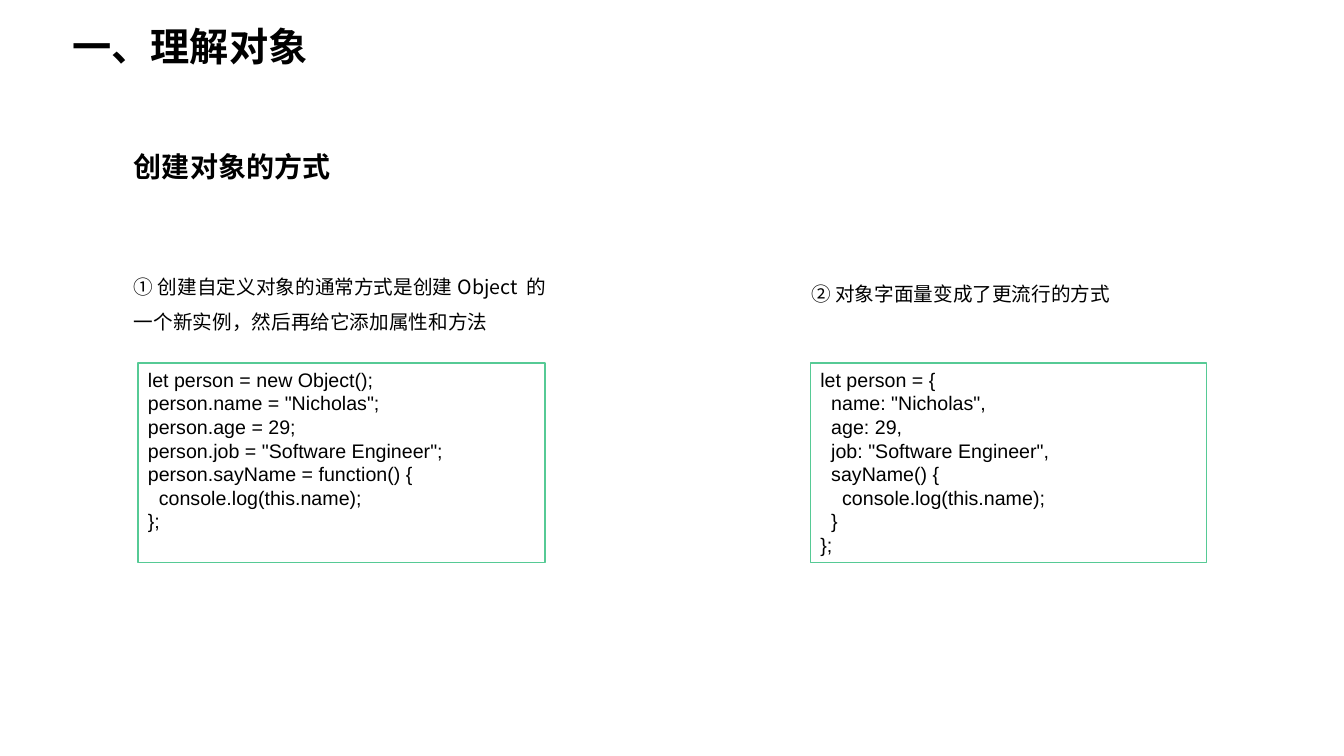
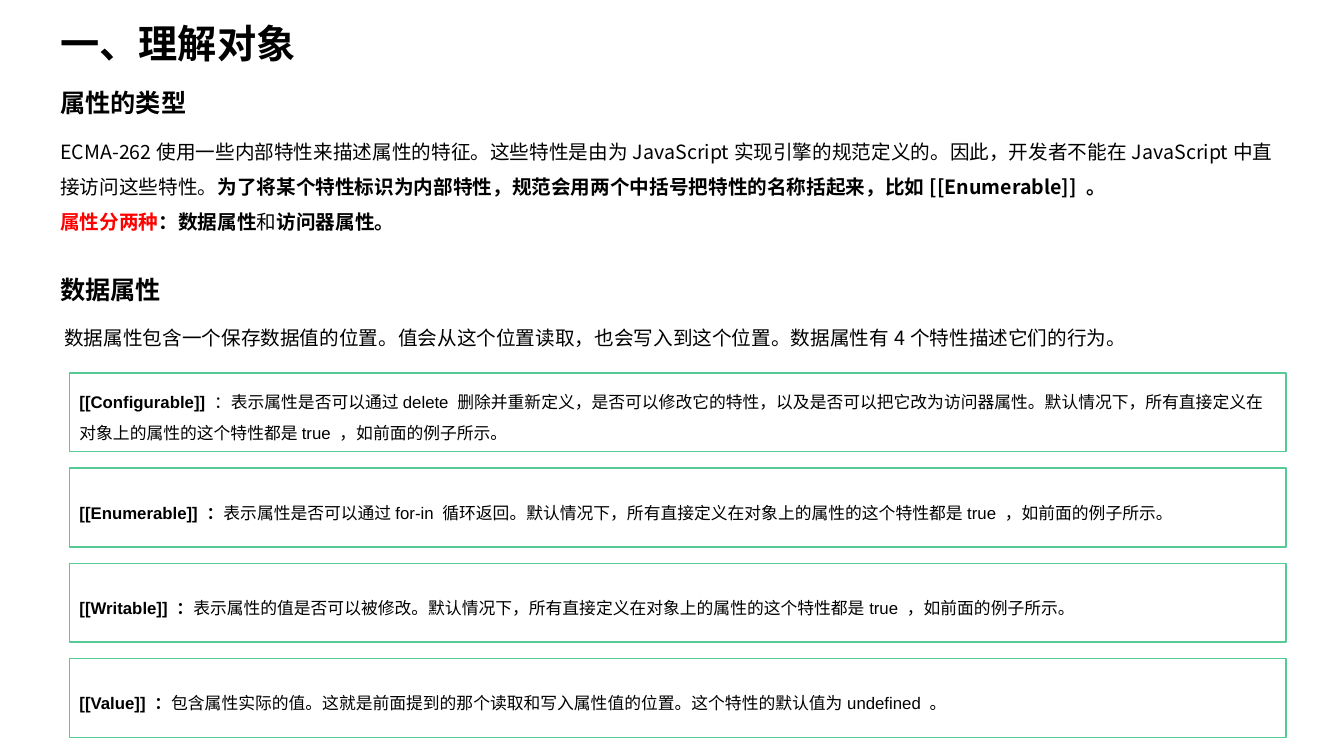
from lxml import etree
from pptx import Presentation
from pptx.dml.color import RGBColor
from pptx.enum.shapes import MSO_SHAPE
from pptx.enum.text import MSO_ANCHOR, MSO_AUTO_SIZE, PP_ALIGN
from pptx.oxml.ns import qn
from pptx.util import Pt

RECT = MSO_SHAPE.RECTANGLE
TOP, MIDDLE = MSO_ANCHOR.TOP, MSO_ANCHOR.MIDDLE
GROW, FIXED = MSO_AUTO_SIZE.SHAPE_TO_FIT_TEXT, MSO_AUTO_SIZE.NONE
LEFT = PP_ALIGN.LEFT

COLORS = {"text": "000000", "accent": "FF0000", "fill": "FFFFFF", "line": "56CA95"}
LATIN, CJK = "Arial", "Noto Sans CJK SC"
CODE_INDENT = 7.8
TITLE = "一、理解对象"


class Deck:
    """Holds the presentation style and the current slide."""

    def __init__(self):
        self.prs = Presentation()
        self.prs.slide_width, self.prs.slide_height = Pt(960), Pt(540)

    def color(self, key):
        return RGBColor.from_string(COLORS[key])

    def place(self, sp, box):
        sp.left, sp.top, sp.width, sp.height = [Pt(v) for v in box]

    def frame(self, sp, anchor=TOP, size=GROW, wrap=True):
        tf = sp.text_frame
        tf.word_wrap, tf.auto_size, tf.vertical_anchor = wrap, size, anchor
        return tf

    def add_text(self, tf, paragraphs, size, font, spacing=1.0):
        for i, runs in enumerate(paragraphs):
            p = tf.paragraphs[0] if i == 0 else tf.add_paragraph()
            p.alignment, p.line_spacing = LEFT, spacing
            for text, bold, key in runs:
                r = p.add_run()
                r.text = text
                r.font.size, r.font.bold, r.font.name = Pt(size), bold, font
                r.font.color.rgb = self.color(key)
                etree.SubElement(r._r.get_or_add_rPr(), qn("a:ea"), typeface=CJK)

    def slide(self, title, left, top):
        self.s = self.prs.slides.add_slide(self.prs.slide_layouts[5])
        sp = self.s.shapes.title
        self.place(sp, (left, top, 486.7, 41))
        self.add_text(self.frame(sp), [[(title, True, "text")]], 28, LATIN)

    def textbox(self, box, paragraphs, size=14, spacing=1.5, wrap=True):
        sp = self.s.shapes.add_textbox(*[Pt(v) for v in box])
        self.add_text(self.frame(sp, wrap=wrap), paragraphs, size, CJK, spacing)

    def heading(self, box, text, size):
        self.textbox(box, [[(text, True, "text")]], size, 1.0, wrap=False)

    def body(self, box, text):
        self.textbox(box, [[(text, False, "text")]])

    def card(self, box):
        sp = self.s.shapes.add_shape(RECT, *[Pt(v) for v in box])
        sp.shadow.inherit = False
        sp.fill.solid()
        sp.fill.fore_color.rgb = self.color("fill")
        sp.line.color.rgb = self.color("line")
        sp.line.width = Pt(1)
        return sp

    def code(self, box, source):
        tf = self.frame(self.card(box), size=FIXED)
        lines = source.strip().splitlines()
        self.add_text(tf, [[(line.strip(), False, "text")] for line in lines], 14, LATIN)
        for p, line in zip(tf.paragraphs, lines):
            depth = (len(line) - len(line.lstrip())) // 2
            if depth:
                p._p.get_or_add_pPr().set("marL", str(Pt(depth * CODE_INDENT)))

    def trait(self, box, runs):
        tf = self.frame(self.card(box), MIDDLE, FIXED)
        self.add_text(tf, [runs], 12, LATIN, 1.5)


OBJECT_CODE = """
let person = new Object();
person.name = "Nicholas";
person.age = 29;
person.job = "Software Engineer";
person.sayName = function() {
  console.log(this.name);
};
"""
LITERAL_CODE = """
let person = {
  name: "Nicholas",
  age: 29,
  job: "Software Engineer",
  sayName() {
    console.log(this.name);
  }
};
"""
DEFAULT_TRUE = "默认情况下，所有直接定义在对象上的属性的这个特性都是true ，如前面的例子所示。"
TRAITS = [
    ("[[Configurable]] ", "：表示属性是否可以通过delete 删除并重新定义，是否可以修改它的特性，"
     "以及是否可以把它改为访问器属性。" + DEFAULT_TRUE),
    ("[[Enumerable]] ：", "表示属性是否可以通过for-in 循环返回。" + DEFAULT_TRUE),
    ("[[Writable]] ：", "表示属性的值是否可以被修改。" + DEFAULT_TRUE),
    ("[[Value]] ：", "包含属性实际的值。这就是前面提到的那个读取和写入属性值的位置。"
     "这个特性的默认值为undefined 。"),
]
INTRO = [
    [("ECMA-262使用一些内部特性来描述属性的特征。这些特性是由为JavaScript实现引擎的规范定义的。"
      "因此，开发者不能在JavaScript中直接访问这些特性。", False, "text"),
     ("为了将某个特性标识为内部特性，规范会用两个中括号把特性的名称括起来，"
      "比如[[Enumerable]] 。", True, "text")],
    [("属性分两种", True, "accent"), ("：数据属性", True, "text"),
     ("和", False, "text"), ("访问器属性。", True, "text")],
]

deck = Deck()

deck.slide(TITLE, 44.6, 12.2)
deck.heading((88.6, 103, 154.8, 31.5), "创建对象的方式", 20)
deck.code((98.6, 259.2, 290.9, 142.6), OBJECT_CODE)
deck.code((578.9, 259.2, 283, 142.6), LITERAL_CODE)
deck.body((88.6, 184.3, 310.3, 58.3),
          "① 创建自定义对象的通常方式是创建Object 的一个新实例，然后再给它添加属性和方法")
deck.body((572.4, 189.4, 310.3, 32.4), "② 对象字面量变成了更流行的方式")

deck.slide(TITLE, 36, 10.1)
deck.heading((36, 59, 105.1, 29), "属性的类型", 18)
deck.textbox((36, 87.8, 882.7, 83.5), INTRO)
deck.heading((36, 192.2, 87.1, 29), "数据属性", 18)
deck.body((38.9, 221, 879.8, 32.4),
          "数据属性包含一个保存数据值的位置。值会从这个位置读取，也会写入到这个位置。"
          "数据属性有4个特性描述它们的行为。")
for i, (name, meaning) in enumerate(TRAITS):
    deck.trait((49.7, 266.4 + 68 * i, 869, 56.2),
               [(name, True, "text"), (meaning, False, "text")])

deck.prs.save("out.pptx")
